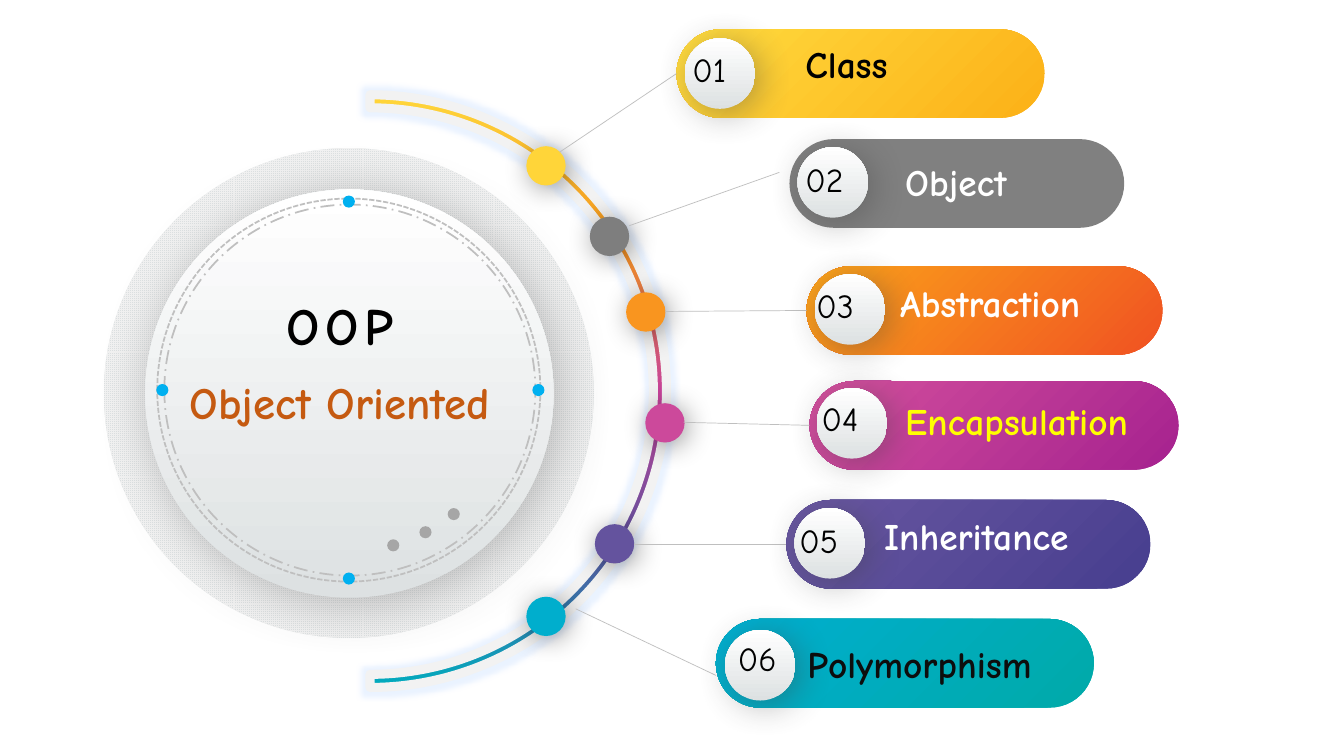
from dataclasses import dataclass

from lxml.etree import SubElement
from pptx import Presentation
from pptx.dml.color import RGBColor
from pptx.enum.dml import MSO_LINE_DASH_STYLE as Dash, MSO_PATTERN_TYPE as Pattern
from pptx.enum.shapes import MSO_CONNECTOR as Connector, MSO_SHAPE as Preset
from pptx.enum.text import MSO_AUTO_SIZE as AutoSize, PP_ALIGN as Align
from pptx.oxml.ns import qn
from pptx.shapes.autoshape import Shape
from pptx.util import Inches, Pt

FONT = "Comic Neue"
SILVER = ("DDE1E2", "FFFFFF")
PILL_HEIGHT = 0.88
DOT_SIZE = 0.39
BADGE_SIZE = 0.7
MARK_SIZE = 0.12
LEFT_SIDE = 1


@dataclass(frozen=True)
class Shadow:
    color: str
    blur: float
    distance: float


@dataclass(frozen=True)
class Topic:
    label: str
    label_color: str
    label_at: tuple[float, float, float]
    number_at: tuple[float, float, float]
    pill_at: tuple[float, float, float]
    pill_colors: tuple[str, ...]
    badge_at: tuple[float, float]
    dot_at: tuple[float, float]
    dot_color: str
    line_from: tuple[float, float]
    line_to: tuple[float, float] | None = None


DISC_SHADOW = Shadow("595959", 40, 6)
DOT_SHADOW = Shadow("000000", 20, 3)
BADGE_SHADOW = Shadow("404040", 26, 5)

TOPICS = (
    Topic("Class", "000000", (7.89, 0.36, 2.09), (6.77, 0.44, 0.73), (6.71, 0.29, 3.65),
          ("FCB117", "FFDB3F"), (6.79, 0.38), (5.22, 1.45), "FFD539", (5.55, 1.51)),
    Topic("Object", "FFFFFF", (8.88, 1.53, 1.87), (7.89, 1.53, 0.73), (7.83, 1.38, 3.32),
          ("808080",), (7.91, 1.46), (5.85, 2.15), "7E7E7E", (6.24, 2.24), (7.73, 1.71)),
    Topic("Abstraction", "FFFFFF", (8.83, 2.73, 2.85), (8, 2.78, 0.83), (8, 2.64, 3.53),
          ("F05222", "FBA31A"), (8.08, 2.72), (6.21, 2.9), "F9951F", (6.6, 3.09)),
    Topic("Encapsulation", "FFFF00", (8.88, 3.9, 2.85), (8.05, 3.9, 0.82), (8.03, 3.78, 3.66),
          ("A6228F", "D3509D"), (8.1, 3.85), (6.4, 4), "CC499B", (6.78, 4.19)),
    Topic("Inheritance", "FFFFFF", (8.67, 5.04, 2.85), (7.83, 5.11, 0.85), (7.8, 4.96, 3.61),
          ("473E8F", "6957A1"), (7.88, 5.04), (5.9, 5.2), "64539E", (6.29, 5.4)),
    Topic("Polymorphism", "0D0D0D", (7.91, 6.31, 2.76), (7.22, 6.28, 0.78), (7.1, 6.14, 3.75),
          ("00AAA9", "00AED0"), (7.19, 6.25), (5.22, 5.92), "00AECD", (5.71, 6.04), (7.1, 6.7)),
)


def rgb(color: str) -> RGBColor:
    return RGBColor.from_string(color)


def add_color(parent, color: str, alpha: int = 100):
    element = SubElement(parent, qn("a:srgbClr"), val=color)
    if alpha < 100:
        SubElement(element, qn("a:alpha"), val=str(alpha * 1000))


def paint(shape: Shape, colors: tuple[str, ...], angle: float = 90):
    if not colors:
        shape.fill.background()
    elif len(colors) == 1:
        shape.fill.solid()
        shape.fill.fore_color.rgb = rgb(colors[0])
    else:
        shape.fill.gradient()
        shape.fill.gradient_angle = angle
        stops = shape._element.spPr.find(qn("a:gradFill")).find(qn("a:gsLst"))
        stops.clear()
        for index, color in enumerate(colors):
            position = round(100000 * index / (len(colors) - 1))
            add_color(SubElement(stops, qn("a:gs"), pos=str(position)), color)


def cast_shadow(shape: Shape, shadow: Shadow):
    effects = shape._element.spPr.find(qn("a:effectLst"))
    outer = SubElement(effects, qn("a:outerShdw"), blurRad=str(Pt(shadow.blur)),
                       dist=str(Pt(shadow.distance)), dir=str(45 * 60000),
                       algn="tl", rotWithShape="0")
    add_color(outer, shadow.color, 40)


def add_preset(shapes, preset, left: float, top: float, width: float, height: float,
               colors: tuple[str, ...] = (), angle: float = 90,
               shadow: Shadow | None = None) -> Shape:
    shape = shapes.add_shape(preset, Inches(left), Inches(top), Inches(width), Inches(height))
    shape.shadow.inherit = False
    shape.line.fill.background()
    paint(shape, colors, angle)
    if shadow:
        cast_shadow(shape, shadow)
    return shape


def add_circle(shapes, at: tuple[float, float], size: float, *colors: str,
               shadow: Shadow | None = None) -> Shape:
    return add_preset(shapes, Preset.OVAL, *at, size, size, colors, shadow=shadow)


def add_text(shapes, text: str, at: tuple[float, float, float], height: float, size: float,
             color: str, bold: bool = True, align=Align.LEFT, spacing: int = 0):
    box = shapes.add_textbox(*map(Inches, (*at, height)))
    frame = box.text_frame
    frame.word_wrap = True
    frame.auto_size = AutoSize.SHAPE_TO_FIT_TEXT
    paragraph = frame.paragraphs[0]
    paragraph.alignment = align
    run = paragraph.add_run()
    run.text = text
    for name, value in {"name": FONT, "size": Pt(size), "bold": bold}.items():
        setattr(run.font, name, value)
    run.font.color.rgb = rgb(color)
    if spacing:
        run._r.get_or_add_rPr().set("spc", str(spacing * 100))


def add_arc(shapes):
    center_x, center_y, outer, inner = 3.67, 3.88, 2.94, 2.81

    def half_circle(radius: float) -> list[tuple[int, int]]:
        return [(Inches(center_x + radius * x), Inches(center_y + radius * y))
                for x, y in ((0, -1), (1, 0), (0, 1))]

    outline = half_circle(outer) + half_circle(inner)[::-1]
    builder = shapes.build_freeform(*outline[0])
    builder.add_line_segments(outline[1:], close=True)
    arc = builder.convert_to_shape()
    sides = list(arc._element.spPr.iter(qn("a:lnTo")))
    quarters = ((0, outer, 270, 90), (1, outer, 0, 90), (3, inner, 90, -90), (4, inner, 0, -90))
    for index, radius, start, sweep in quarters:
        curve = sides[index].makeelement(
            qn("a:arcTo"), wR=str(Inches(radius)), hR=str(Inches(radius)),
            stAng=str(start * 60000), swAng=str(sweep * 60000))
        sides[index].getparent().replace(sides[index], curve)
    arc.shadow.inherit = False
    paint(arc, ("FFD63A", "F4941D", "C74399", "60509C", "00ACBE"), 270)
    arc.line.color.rgb = rgb("F2F2F2")
    arc.line.width = Pt(6.5)
    effects = arc._element.spPr.find(qn("a:effectLst"))
    add_color(SubElement(effects, qn("a:glow"), rad=str(Pt(7))), "DDEBFF", 60)


def add_link(shapes, topic: Topic, pill: Shape):
    left, top, _ = topic.pill_at
    end = topic.line_to or (left, top + PILL_HEIGHT / 2)
    link = shapes.add_connector(Connector.STRAIGHT, *map(Inches, (*topic.line_from, *end)))
    if topic.line_to is None:
        link.end_connect(pill, LEFT_SIDE)
    link.line.color.rgb = rgb("BFBFBF")
    link.line.width = Pt(0.5)
    SubElement(link._element.spPr, qn("a:effectLst"))


def add_hub(shapes):
    for at, size, dash in (((1.56, 1.97), 3.8, Dash.SQUARE_DOT),
                           ((1.63, 2.03), 3.68, Dash.LONG_DASH_DOT)):
        ring = add_circle(shapes, at, size)
        ring.line.color.rgb = rgb("BFBFBF")
        ring.line.width = Pt(1.25)
        ring.line.dash_style = dash
    for at in ((3.4, 1.94), (3.4, 5.68), (5.28, 3.81), (1.55, 3.81)):
        add_circle(shapes, at, MARK_SIZE, "00B0F0")
    trail = shapes.add_group_shape()
    for at in ((3.84, 5.35), (4.16, 5.22), (4.44, 5.04)):
        add_circle(trail.shapes, at, MARK_SIZE, "A6A6A6")
    add_text(shapes, "OOP", (2.11, 2.86, 2.53), 0.73, 37.3, "000000",
             align=Align.CENTER, spacing=4)
    add_text(shapes, "Object Oriented ", (1.52, 3.67, 3.86), 0.64, 32, "C55A11",
             align=Align.CENTER)


def main():
    presentation = Presentation()
    presentation.slide_width, presentation.slide_height = Inches(13.33), Inches(7.5)
    shapes = presentation.slides.add_slide(presentation.slide_layouts[6]).shapes

    halo = add_circle(shapes, (1.03, 1.47), 4.86)
    halo.fill.patterned()
    halo.fill.pattern = Pattern.SMALL_GRID
    halo.fill.fore_color.rgb = rgb("F2F2F2")
    halo.fill.back_color.rgb = rgb("DDE1E2")
    add_circle(shapes, (1.44, 1.88), 4.05, *SILVER, shadow=DISC_SHADOW)
    add_arc(shapes)
    add_hub(shapes)

    for number, topic in enumerate(TOPICS, 1):
        pill = add_preset(shapes, Preset.ROUNDED_RECTANGLE, *topic.pill_at, PILL_HEIGHT,
                          topic.pill_colors, 135)
        pill.adjustments[0] = 0.5
        add_circle(shapes, topic.dot_at, DOT_SIZE, topic.dot_color, shadow=DOT_SHADOW)
        add_link(shapes, topic, pill)
        add_circle(shapes, topic.badge_at, BADGE_SIZE, *SILVER, shadow=BADGE_SHADOW)
        add_text(shapes, topic.label, topic.label_at, 0.55, 26.7, topic.label_color)
        add_text(shapes, f"{number:02}", topic.number_at, 0.5, 24, "000000", bold=False)

    presentation.save("out.pptx")


if __name__ == "__main__":
    main()
